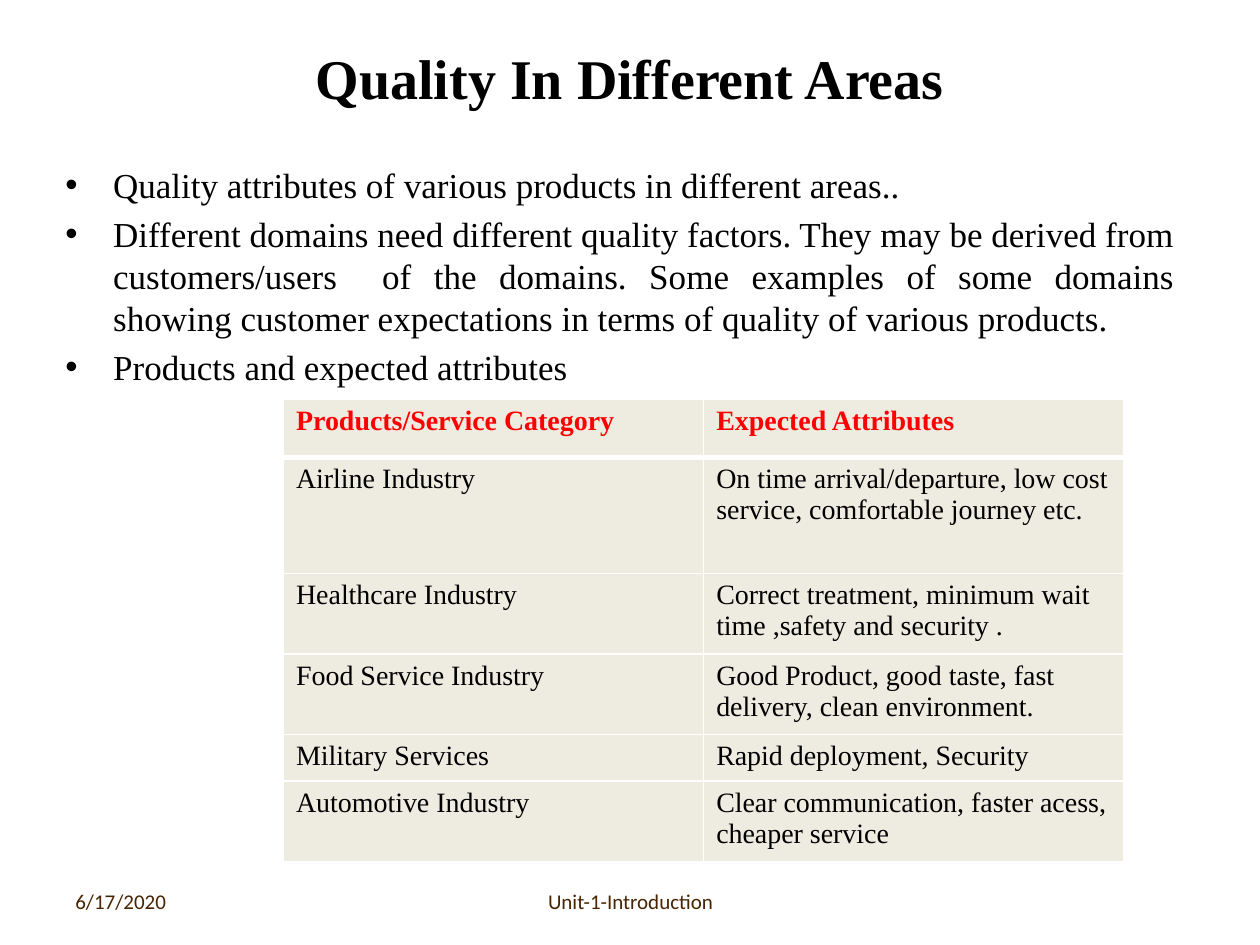
from lxml.etree import SubElement
from pptx import Presentation
from pptx.dml.color import RGBColor
from pptx.enum.text import MSO_ANCHOR, MSO_AUTO_SIZE, PP_ALIGN
from pptx.oxml.ns import qn
from pptx.util import Inches, Pt

BLACK = RGBColor(0x00, 0x00, 0x00)
RED = RGBColor(0xFF, 0x00, 0x00)
WHITE = RGBColor(0xFF, 0xFF, 0xFF)
CREAM = RGBColor(0xEE, 0xEC, 0xE1)
BROWN = RGBColor(0x48, 0x24, 0x00)

BULLETS = [
    "Quality attributes of various products in different areas..",
    "Different domains need different quality factors. They may be derived from "
    "customers/users  of the domains. Some examples of some domains showing "
    "customer expectations in terms of quality of various products.",
    "Products and expected attributes",
]
ROWS = [
    (0.46, "Products/Service Category", "Expected Attributes"),
    (0.92, "Airline Industry",
     "On time arrival/departure, low cost service, comfortable journey etc."),
    (0.64, "Healthcare Industry",
     "Correct treatment, minimum wait time ,safety and security ."),
    (0.64, "Food Service Industry",
     "Good Product, good taste, fast delivery, clean environment."),
    (0.37, "Military Services", "Rapid deployment, Security"),
    (0.64, "Automotive Industry",
     "Clear communication, faster acess, cheaper service"),
]


class SlideBuilder:
    serif = "Times New Roman"
    sans = "Calibri"

    def __init__(self, slide):
        self.slide = slide

    def format_runs(self, p, size, color=BLACK, bold=False, font=serif):
        for r in p.runs:
            r.font.name = font
            r.font.size = Pt(size)
            r.font.bold = bold
            r.font.color.rgb = color

    def title(self, text, left, top, width, height):
        sp = self.slide.shapes.title
        sp.left, sp.top = Inches(left), Inches(top)
        sp.width, sp.height = Inches(width), Inches(height)
        tf = sp.text_frame
        tf.text = text
        tf.auto_size = MSO_AUTO_SIZE.NONE
        tf.vertical_anchor = MSO_ANCHOR.MIDDLE
        p = tf.paragraphs[0]
        p.alignment = PP_ALIGN.CENTER
        self.format_runs(p, 32, bold=True)

    def text_frame(self, left, top, width, height):
        sp = self.slide.shapes.add_textbox(
            Inches(left), Inches(top), Inches(width), Inches(height))
        sp.text_frame.word_wrap = True
        return sp.text_frame

    def bullets(self, items, left, top, width, height):
        tf = self.text_frame(left, top, width, height)
        tf.text = "\n".join(items)
        for p in tf.paragraphs:
            p.alignment = PP_ALIGN.JUSTIFY
            p.space_before = Pt(4)
            self.format_runs(p, 20)
            pPr = p._p.get_or_add_pPr()
            pPr.set("marL", str(Inches(0.38)))
            pPr.set("indent", str(-Inches(0.38)))
            SubElement(pPr, qn("a:buFont"), typeface="Arial")
            SubElement(pPr, qn("a:buChar"), char="•")

    def footer(self, text, left, width, align):
        tf = self.text_frame(left, 6.95, width, 0.4)
        tf.text = text
        tf.vertical_anchor = MSO_ANCHOR.MIDDLE
        p = tf.paragraphs[0]
        p.alignment = align
        self.format_runs(p, 12, BROWN, font=self.sans)

    def borders(self, cell, **widths):
        """Draw white cell borders; widths in points are keyed by side: L, R, T, B."""
        tcPr = cell._tc.get_or_add_tcPr()
        for side, width in widths.items():
            ln = SubElement(tcPr, qn(f"a:ln{side}"), w=str(Pt(width)))
            fill = SubElement(ln, qn("a:solidFill"))
            SubElement(fill, qn("a:srgbClr"), val=str(WHITE))

    def table(self, rows, left, top, width):
        height = sum(row[0] for row in rows)
        table = self.slide.shapes.add_table(
            len(rows), 2, Inches(left), Inches(top),
            Inches(width), Inches(height)).table
        for i, (row_height, *texts) in enumerate(rows):
            table.rows[i].height = Inches(row_height)
            header = i == 0
            for cell, text in zip(table.rows[i].cells, texts):
                cell.text = text
                self.format_runs(cell.text_frame.paragraphs[0], 16,
                                 RED if header else BLACK, header)
                self.borders(cell, L=1, R=1, T=3 if i == 1 else 1,
                             B=3 if header else 1)
                cell.fill.solid()
                cell.fill.fore_color.rgb = CREAM


def main():
    prs = Presentation()
    prs.slide_width, prs.slide_height = Inches(10), Inches(7.5)
    s = SlideBuilder(prs.slides.add_slide(prs.slide_layouts[5]))
    s.title("Quality In Different Areas", 0.5, 0.3, 9, 0.62)
    s.bullets(BULLETS, 0.42, 1.25, 9, 4.95)
    s.table(ROWS, 2.25, 3.17, 6.67)
    s.footer("6/17/2020", 0.5, 2.33, PP_ALIGN.LEFT)
    s.footer("Unit-1-Introduction", 3.42, 3.17, PP_ALIGN.CENTER)
    prs.save("out.pptx")


if __name__ == "__main__":
    main()
